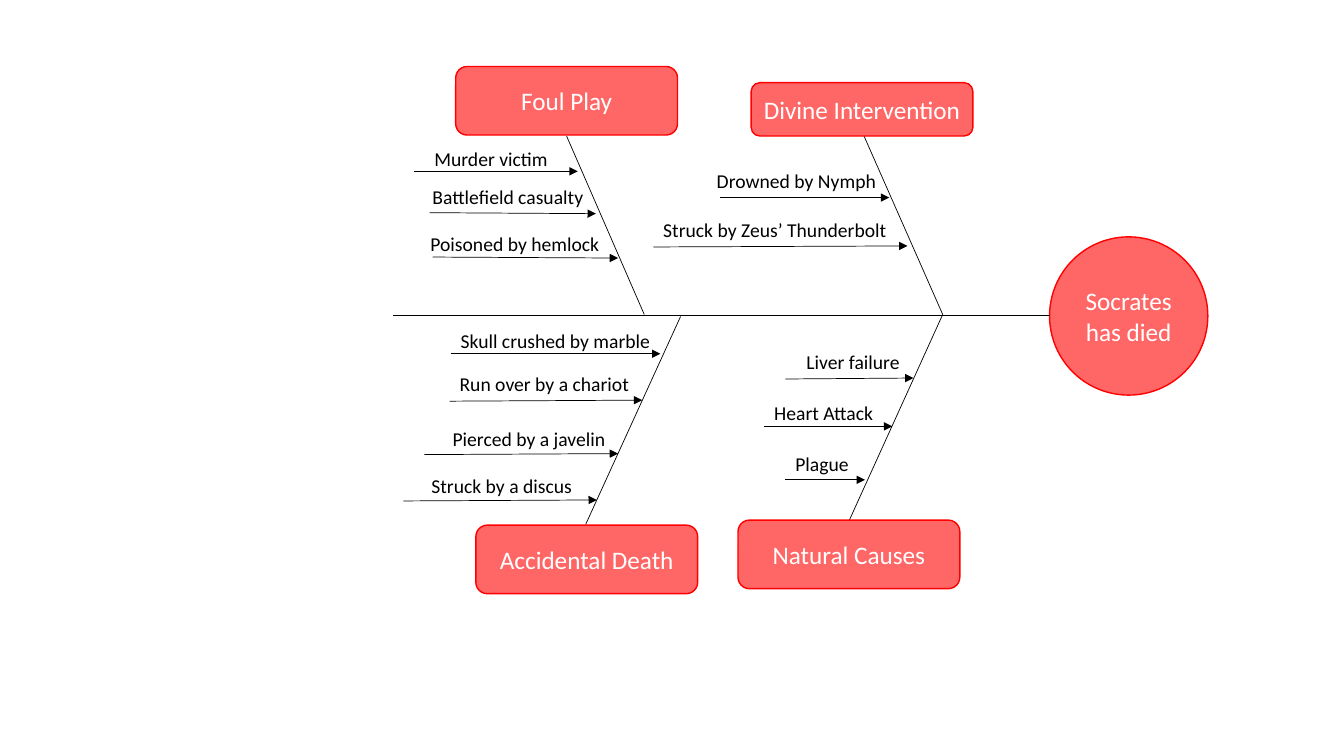
from pptx import Presentation
from pptx.dml.color import RGBColor
from pptx.enum.shapes import MSO_CONNECTOR, MSO_SHAPE
from pptx.enum.text import MSO_ANCHOR, MSO_AUTO_SIZE, PP_ALIGN
from pptx.oxml.ns import qn
from pptx.util import Inches, Pt
from lxml import etree

ROUND = MSO_SHAPE.ROUNDED_RECTANGLE
OVAL = MSO_SHAPE.OVAL
LINE = MSO_CONNECTOR.STRAIGHT
MIDDLE = MSO_ANCHOR.MIDDLE
CENTER = PP_ALIGN.CENTER
GROW = MSO_AUTO_SIZE.SHAPE_TO_FIT_TEXT

CORAL = RGBColor(0xFF, 0x66, 0x66)
RED = RGBColor(0xFF, 0, 0)
WHITE = RGBColor(0xFF, 0xFF, 0xFF)
BLACK = RGBColor(0, 0, 0)

SPINE = (3.9, 3.13, 10.41, 3.13)
HEAD = ("Socrates has died", 10.41, 2.35, 1.57, 1.57)

# Each branch: name, box, bone, causes (text, left, top, width, arrow).
BRANCHES = [
    ("Foul Play", (4.52, 0.66, 2.2, 0.68), (6.39, 3.12, 5.62, 1.35), [
        ("Murder victim", 4.21, 1.41, 1.34, (4.11, 1.7, 5.73, 1.7)),
        ("Battlefield casualty", 4.19, 1.79, 1.7, (4.26, 2.11, 5.91, 2.12)),
        ("Poisoned by hemlock", 4.17, 2.25, 1.89, (4.29, 2.55, 6.13, 2.56)),
    ]),
    ("Divine Intervention", (7.45, 0.82, 2.2, 0.53), (9.35, 3.12, 8.57, 1.35), [
        ("Drowned by Nymph", 7.01, 1.63, 1.79, (7.14, 1.96, 8.82, 1.96)),
        ("Struck by Zeus’ Thunderbolt", 6.48, 2.11, 2.44, (6.48, 2.45, 9, 2.44)),
    ]),
    ("Accidental Death", (4.72, 5.21, 2.2, 0.68), (6.75, 3.14, 5.81, 5.2), [
        ("Skull crushed by marble", 4.47, 3.21, 2.1, (4.47, 3.51, 6.55, 3.51)),
        ("Run over by a chariot", 4.46, 3.64, 1.9, (4.46, 3.98, 6.37, 3.97)),
        ("Pierced by a javelin", 4.39, 4.19, 1.75, (4.21, 4.51, 6.13, 4.5)),
        ("Struck by a discus", 4.18, 4.65, 1.61, (4, 4.97, 5.92, 4.96)),
    ]),
    ("Natural Causes", (7.32, 5.16, 2.2, 0.68), (9.35, 3.12, 8.42, 5.17), [
        ("Liver failure", 7.9, 3.42, 1.14, (7.79, 3.76, 9.06, 3.75)),
        ("Heart Attack", 7.58, 3.93, 1.2, (7.58, 4.23, 8.85, 4.23)),
        ("Plague", 7.79, 4.43, 0.74, (7.79, 4.76, 8.58, 4.76)),
    ]),
]


def write(frame, text, size, color):
    """Put one styled paragraph in a frame and return it."""
    frame.text = text
    para = frame.paragraphs[0]
    para.font.name = "Calibri"
    para.font.size = Pt(size)
    para.font.color.rgb = color
    return para


def add_node(slide, kind, text, left, top, width, height):
    """Add a coral shape with a centred white title."""
    node = slide.shapes.add_shape(
        kind, Inches(left), Inches(top), Inches(width), Inches(height))
    node.shadow.inherit = False
    node.fill.solid()
    node.fill.fore_color.rgb = CORAL
    node.line.color.rgb = RED
    node.line.width = Pt(1)
    frame = node.text_frame
    frame.word_wrap = True
    frame.vertical_anchor = MIDDLE
    write(frame, text, 18, WHITE).alignment = CENTER


def add_line(slide, ends, arrow=False):
    """Add a thin black line, with an arrowhead at its end if asked."""
    line = slide.shapes.add_connector(LINE, *map(Inches, ends))
    line.line.color.rgb = BLACK
    line.line.width = Pt(0.5)
    if arrow:
        stroke = line.line._get_or_add_ln()
        etree.SubElement(stroke, qn("a:tailEnd"), type="triangle")
    etree.SubElement(line._element.spPr, qn("a:effectLst"))


def add_cause(slide, text, left, top, width, arrow):
    """Add a cause label and the arrow under it."""
    add_line(slide, arrow, arrow=True)
    label = slide.shapes.add_textbox(
        Inches(left), Inches(top), Inches(width), Inches(0.34))
    frame = label.text_frame
    frame.word_wrap = False
    frame.auto_size = GROW
    write(frame, text, 14, BLACK)


def add_branch(slide, name, box, bone, causes):
    """Add one bone with its title box and causes."""
    add_line(slide, bone)
    add_node(slide, ROUND, name, *box)
    for cause in causes:
        add_cause(slide, *cause)


def main():
    """Build the fishbone slide and save it."""
    deck = Presentation()
    deck.slide_width = Inches(13.33)
    deck.slide_height = Inches(7.5)
    slide = deck.slides.add_slide(deck.slide_layouts[6])
    add_node(slide, OVAL, *HEAD)
    add_line(slide, SPINE)
    for branch in BRANCHES:
        add_branch(slide, *branch)
    deck.save("out.pptx")


main()
